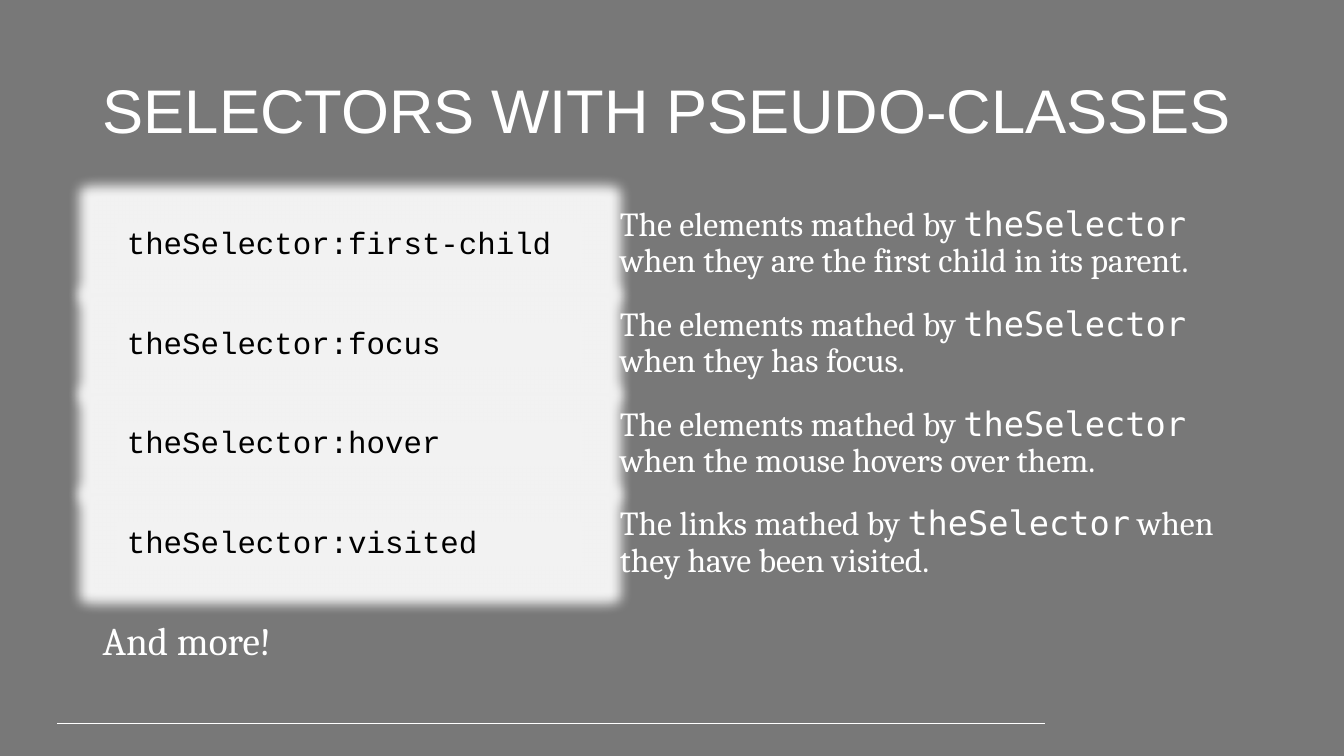
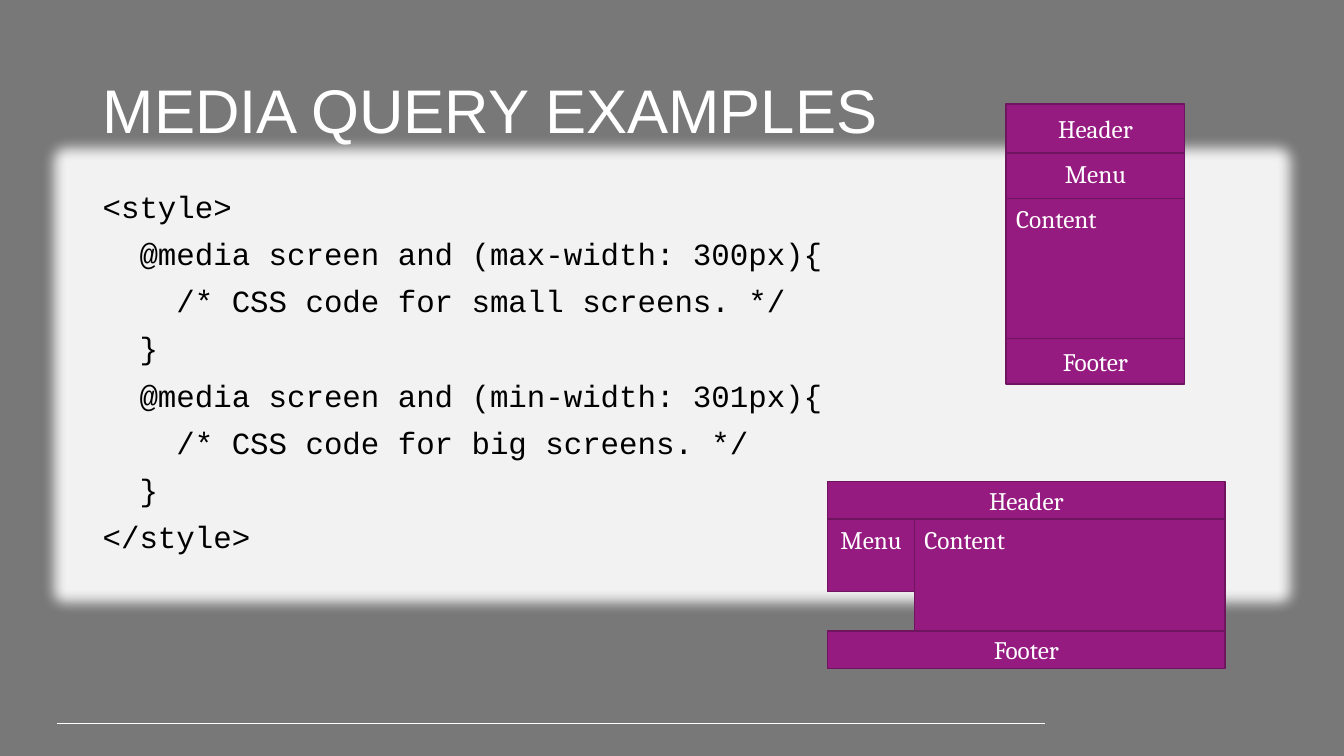
import pptx
import pptx.util
import pptx.dml.color
import pptx.enum.shapes
import pptx.enum.text
import pptx.oxml.ns
import pptx.oxml.xmlchemy

Inches = pptx.util.Inches
Pt = pptx.util.Pt
ALIGN = pptx.enum.text.PP_ALIGN
ANCHOR = pptx.enum.text.MSO_ANCHOR
FIT = pptx.enum.text.MSO_AUTO_SIZE
RECT = pptx.enum.shapes.MSO_SHAPE.RECTANGLE
LINE = pptx.enum.shapes.MSO_CONNECTOR.STRAIGHT

COLORS = {
    "back": "787878",
    "text": "FFFFFF",
    "code": "000000",
    "panel": "F2F2F2",
    "block": "961B81",
    "edge": "6F145F",
}
HEAD, BODY, CODE, MONO = "Arial", "Cambria", "Courier New", "DejaVu Sans Mono"
LEFT, WIDTH = 0.92, 11.5

RULES = [
    ("first-child", "The elements", "when they are the first child in its parent."),
    ("focus", "The elements", "when they has focus."),
    ("hover", "The elements", "when the mouse hovers over them."),
    ("visited", "The links", "when they have been visited."),
]
STYLE = """<style>
  @media screen and (max-width: 300px){
    /* CSS code for small screens. */
  }
  @media screen and (min-width: 301px){
    /* CSS code for big screens. */
  }
</style>"""


def color(name):
    return pptx.dml.color.RGBColor.from_string(COLORS[name])


def place(box):
    return [Inches(part) for part in box]


def paint(fill, name):
    fill.solid()
    fill.fore_color.rgb = color(name)


def add_node(parent, tag):
    node = pptx.oxml.xmlchemy.OxmlElement(tag)
    parent.append(node)
    return node


def format_run(run, size, font, name="text"):
    run.font.size = Pt(size)
    run.font.name = font
    run.font.color.rgb = color(name)


def format_text(frame, size, font, name="text", before=10):
    for para in frame.paragraphs:
        para.alignment = ALIGN.LEFT
        para.line_spacing = 0.9
        para.space_before = Pt(before)
        for run in para.runs:
            format_run(run, size, font, name)


def add_slide(deck, title):
    slide = deck.slides.add_slide(deck.slide_layouts[5])
    rule = slide.shapes.add_connector(LINE, *place((0.57, 7.18, 10.36, 7.18)))
    rule.line.color.rgb = color("text")
    rule.line.width = Pt(0.75)
    add_node(rule._element.spPr, "a:effectLst")
    head = slide.shapes.title
    head.left, head.top, head.width, head.height = place((LEFT, 0.4, WIDTH, 1.45))
    frame = head.text_frame
    frame.text = title
    frame.auto_size = FIT.NONE
    frame.vertical_anchor = ANCHOR.MIDDLE
    format_text(frame, 44, HEAD, before=0)
    return slide


def add_code(slide, box, text):
    panel = slide.shapes.add_shape(RECT, *place(box))
    paint(panel.fill, "panel")
    panel.line.fill.background()
    panel.shadow.inherit = False
    effects = panel._element.spPr.find(pptx.oxml.ns.qn("a:effectLst"))
    glow = add_node(effects, "a:glow")
    glow.set("rad", str(Inches(0.25)))
    add_node(glow, "a:srgbClr").set("val", COLORS["panel"])
    frame = panel.text_frame
    frame.text = text
    frame.word_wrap = True
    frame.auto_size = FIT.SHAPE_TO_FIT_TEXT
    frame.vertical_anchor = ANCHOR.TOP
    format_text(frame, 22, CODE, "code")


def add_note(slide, box, parts, size):
    frame = slide.shapes.add_textbox(*place(box)).text_frame
    frame.word_wrap = True
    frame.auto_size = FIT.SHAPE_TO_FIT_TEXT
    para = frame.paragraphs[0]
    for text, font in parts:
        para.add_run().text = text
    format_text(frame, size, BODY)
    for run, (text, font) in zip(para.runs, parts):
        run.font.name = font


def add_rule(slide, left, top, name, start, end):
    add_code(slide, (left + 0.24, top + 0.2, 4.62, 0.44), "theSelector:" + name)
    parts = [(start + " mathed by ", BODY), ("theSelector", MONO), (" " + end, BODY)]
    add_note(slide, (left + 5.13, top, 6.36, 0.83), parts, 24)


def add_block(shapes, box, text, align=ALIGN.CENTER, anchor=ANCHOR.TOP):
    block = shapes.add_shape(RECT, *place(box))
    paint(block.fill, "block")
    block.line.color.rgb = color("edge")
    block.line.width = Pt(1)
    block.shadow.inherit = False
    frame = block.text_frame
    frame.text = text
    frame.word_wrap = True
    frame.vertical_anchor = anchor
    frame.paragraphs[0].alignment = align
    format_run(frame.paragraphs[0].runs[0], 18, BODY)


def add_page(shapes, left, top, width, head, menu, body, foot, side=0):
    row = top + head
    start = row if side else row + menu
    end = start + body
    add_block(shapes, (left, top, width, head), "Header", anchor=ANCHOR.MIDDLE)
    add_block(shapes, (left, row, side or width, menu), "Menu")
    add_block(shapes, (left + side, start, width - side, body), "Content", ALIGN.LEFT)
    add_block(shapes, (left, end, width, foot), "Footer", anchor=ANCHOR.MIDDLE)


def add_rules(deck):
    slide = add_slide(deck, "SELECTORS WITH PSEUDO-CLASSES")
    for row, rule in enumerate(RULES):
        add_rule(slide, LEFT, 2.01 + 0.99 * row, *rule)
    add_note(slide, (LEFT, 6.12, WIDTH, 0.53), [("And more!", BODY)], 28)


def add_media(deck):
    slide = add_slide(deck, "MEDIA QUERY EXAMPLES")
    add_code(slide, (LEFT, 1.85, WIDTH, 3.75), STYLE)
    group = slide.shapes.add_group_shape()
    add_page(group.shapes, 8.21, 4.78, 3.94, 0.37, 0.72, 1.11, 0.37, side=0.86)
    add_page(slide.shapes, 9.98, 1.03, 1.77, 0.49, 0.45, 1.39, 0.45)


def main():
    deck = pptx.Presentation()
    deck.slide_width, deck.slide_height = place((13.33, 7.5))
    paint(deck.slide_master.background.fill, "back")
    add_rules(deck)
    add_media(deck)
    deck.save("out.pptx")


if __name__ == "__main__":
    main()
